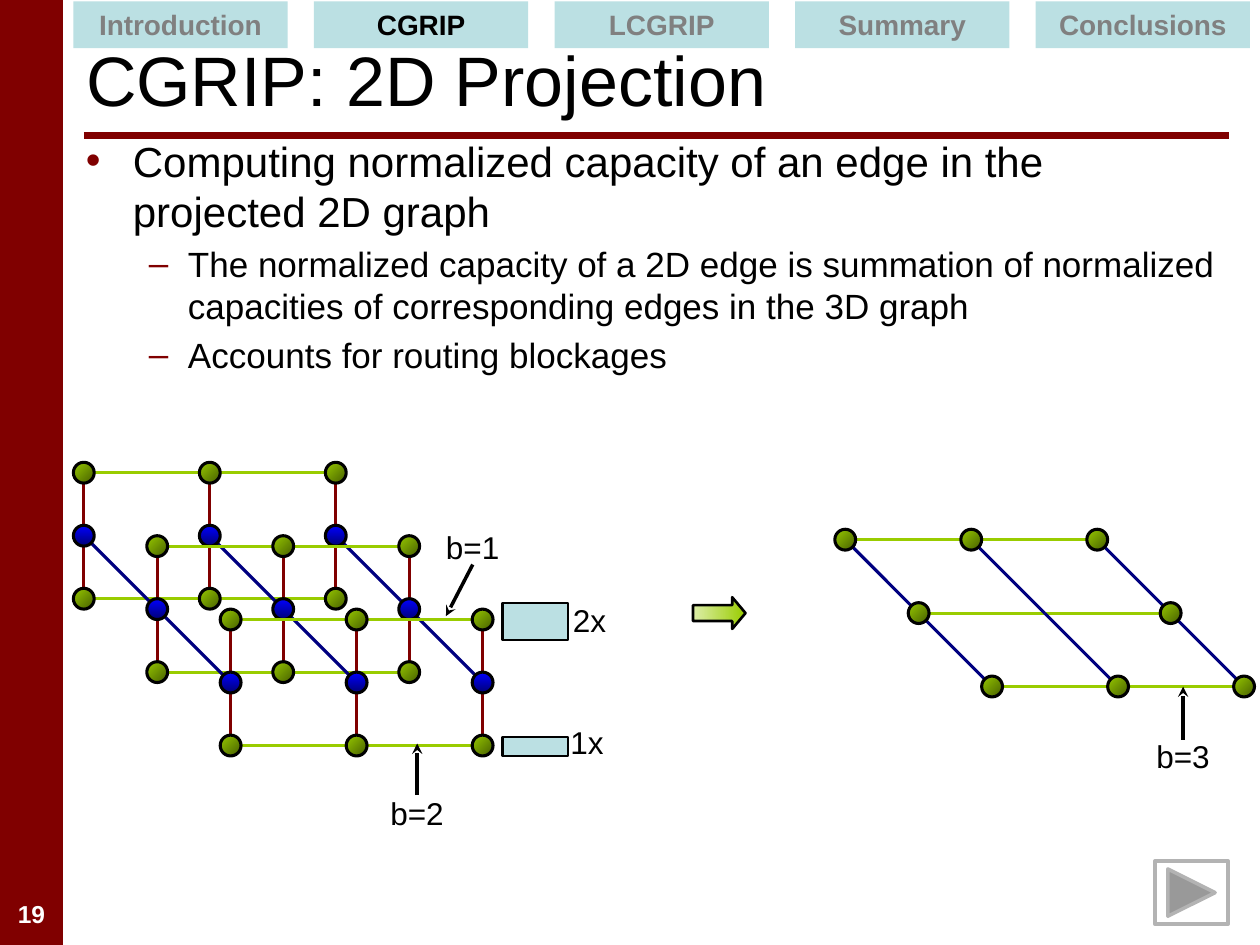
"""Build the slide on the 2D projection of a 3D routing grid."""
from lxml.etree import SubElement as Sub
from pptx import Presentation
from pptx.dml.color import RGBColor
from pptx.enum.shapes import MSO_CONNECTOR as Wire, MSO_SHAPE as Form
from pptx.enum.text import MSO_ANCHOR as Anchor, MSO_AUTO_SIZE as Fit, PP_ALIGN as Align
from pptx.oxml.ns import qn
from pptx.util import Cm, Pt

tint = RGBColor.from_string
RED, LIME, NAVY, PALE, BLACK, GREY = "800000", "99CC00", "000080", "BBE0E3", "000000", "808080"
MOSS, BLUE, GLOW = (LIME, "475E00", 315), ("0000FF", "000076", 270), ("DDEEA9", LIME, 0)
STEP, SLANT, DOT = 2.54, 1.48, 0.42


def put(home, form, box, fill=None, edge=None, width=1.75, text="", ink=BLACK, size=18,
        bold=False, align=Align.LEFT, wrap=True):
    """Add a shape, or a text box when form is None."""
    area = [Cm(v) for v in box]
    if form is None:
        item = home.add_textbox(*area)
    else:
        item = home.add_shape(form, *area)
        item.shadow.inherit = False
        if isinstance(fill, tuple):
            item.fill.gradient()
            for stop, tone in zip(item.fill.gradient_stops, fill):
                stop.color.rgb = tint(tone)
            item.fill.gradient_angle = fill[2]
        else:
            item.fill.solid()
            item.fill.fore_color.rgb = tint(fill)
        if edge:
            item.line.color.rgb = tint(edge)
            item.line.width = Pt(width)
        else:
            item.line.fill.background()
    if text:
        frame = item.text_frame
        frame.word_wrap = wrap
        frame.vertical_anchor = Anchor.TOP
        para = frame.paragraphs[0]
        para.alignment = align
        run = para.add_run()
        run.text = text
        look = {"name": "Arial", "size": Pt(size), "bold": bold}
        for key, val in look.items():
            setattr(run.font, key, val)
        run.font.color.rgb = tint(ink)
    return item


def link(home, ends, tone, width=1.75, tip=False):
    """Draw a straight line, with an arrowhead if tip is set."""
    wire = home.add_connector(Wire.STRAIGHT, *[Cm(v) for v in ends])
    wire.line.color.rgb = tint(tone)
    wire.line.width = Pt(width)
    if tip:
        Sub(wire.line._get_or_add_ln(), qn("a:tailEnd"), type="stealth")
    Sub(wire._element.spPr, qn("a:effectLst"))


deck = Presentation()
deck.slide_width, deck.slide_height = Cm(25.4), Cm(19.05)
slide = deck.slides.add_slide(deck.slide_layouts[5])
main = slide.shapes

put(main, Form.RECTANGLE, (0, 0, 1.27, 19.05), RED)
link(main, (1.69, 2.74, 24.77, 2.74), RED, 4)
put(main, None, (0, 17.99, 1.27, 0.85), text="19", ink="FFFFFF", size=14, bold=True,
    align=Align.CENTER)

title = main.title
place = {"left": Cm(1.48), "top": Cm(0.21), "width": Cm(23.28), "height": Cm(2.75)}
for key, val in place.items():
    setattr(title, key, val)
frame = title.text_frame
frame.text = "CGRIP: 2D Projection"
frame.auto_size = Fit.NONE
frame.vertical_anchor = Anchor.MIDDLE
head = frame.paragraphs[0]
head.alignment = Align.LEFT
for key, val in {"name": "Arial", "size": Pt(40)}.items():
    setattr(head.runs[0].font, key, val)
head.runs[0].font.color.rgb = tint(BLACK)

points = [
    (0, "Computing normalized capacity of an edge in the projected 2D graph"),
    (1, "The normalized capacity of a 2D edge is summation of normalized capacities "
        "of corresponding edges in the 3D graph"),
    (1, "Accounts for routing blockages"),
]
levels = [("•", 24, 0.95, 0.95), ("–", 20, 2.06, 0.79)]
body = main.add_textbox(Cm(1.48), Cm(2.6), Cm(23.28), Cm(14.82)).text_frame
body.word_wrap = True
for row, (level, words) in enumerate(points):
    mark, size, left, hang = levels[level]
    para = body.add_paragraph() if row else body.paragraphs[0]
    para.level = level
    para.space_before = Pt(size * 0.2)
    run = para.add_run()
    run.text = words
    for key, val in {"name": "Arial", "size": Pt(size)}.items():
        setattr(run.font, key, val)
    run.font.color.rgb = tint(BLACK)
    props = para._p.get_or_add_pPr()
    props.set("marL", str(Cm(left)))
    props.set("indent", str(-Cm(hang)))
    Sub(Sub(props, qn("a:buClr")), qn("a:srgbClr"), val=RED)
    Sub(props, qn("a:buFont"), typeface="Arial")
    Sub(props, qn("a:buChar"), char=mark)

put(main, Form.ACTION_BUTTON_FORWARD_OR_NEXT, (23.28, 17.36, 1.48, 1.27), "FFFFFF", "B3B3B3", 2)

cube, flat = main.add_group_shape().shapes, main.add_group_shape().shapes
for home, left, base, beam in ((cube, 1.69, 12.07, 10.8), (flat, 17.04, 10.88, 10.88)):
    for tier in range(3):
        x, y = left + tier * SLANT, base + tier * SLANT
        for col in range(2):
            link(home, (x + col * STEP, y, x + (col + 1) * STEP, y), LIME)
    for col in range(3):
        for tier in range(2):
            x, y = left + col * STEP + tier * SLANT, beam + tier * SLANT
            link(home, (x, y, x + SLANT, y + SLANT), NAVY)

for tier in range(3):
    left, top = 1.69 + tier * SLANT, 9.53 + tier * SLANT
    for col in range(3):
        x = left + col * STEP
        link(cube, (x, top, x, top + STEP), RED)
        if col < 2:
            link(cube, (x, top, x + STEP, top), LIME)
    for col in range(3):
        for drop, fill in ((STEP, MOSS), (STEP / 2, BLUE), (0, MOSS)):
            spot = (left + col * STEP - DOT / 2, top + drop - DOT / 2, DOT, DOT)
            put(cube, Form.OVAL, spot, fill, BLACK)
        if tier != 1 or col != 1:
            x = 17.04 + tier * SLANT + col * STEP
            y = 10.88 + tier * SLANT
            put(flat, Form.OVAL, (x - DOT / 2, y - DOT / 2, DOT, DOT), MOSS, BLACK)

arrow = put(flat, Form.RIGHT_ARROW, (13.97, 12.04, 1.06, 0.64), GLOW, BLACK, 1.5)
arrow.adjustments[1] = 0.42

for y, high in ((12.15, 0.76), (14.86, 0.38)):
    put(main, Form.RECTANGLE, (10.13, y, 1.32, high), PALE, BLACK, 1.25)

notes = [("b=1", 8.74, 10.52, 1.6), ("b=2", 7.62, 15.88, 1.6), ("b=3", 23.06, 14.73, 1.6),
         ("1x", 11.25, 14.45, 1.19), ("2x", 11.3, 11.99, 1.19)]
for words, x, y, wide in notes:
    put(main, None, (x, y, wide, 1.02), text=words, wrap=False)

for ends in ((9.53, 11.38, 8.99, 12.42), (8.41, 16.03, 8.41, 14.99), (23.85, 14.91, 23.85, 13.84)):
    link(main, ends, BLACK, 2, True)

for col, name in enumerate(("Introduction", "CGRIP", "LCGRIP", "Summary", "Conclusions")):
    put(main, Form.RECTANGLE, (1.48 + col * 4.85, 0.03, 4.32, 0.94), PALE, text=name,
        ink=BLACK if name == "CGRIP" else GREY, size=16, bold=True, align=Align.CENTER)

deck.save("out.pptx")
